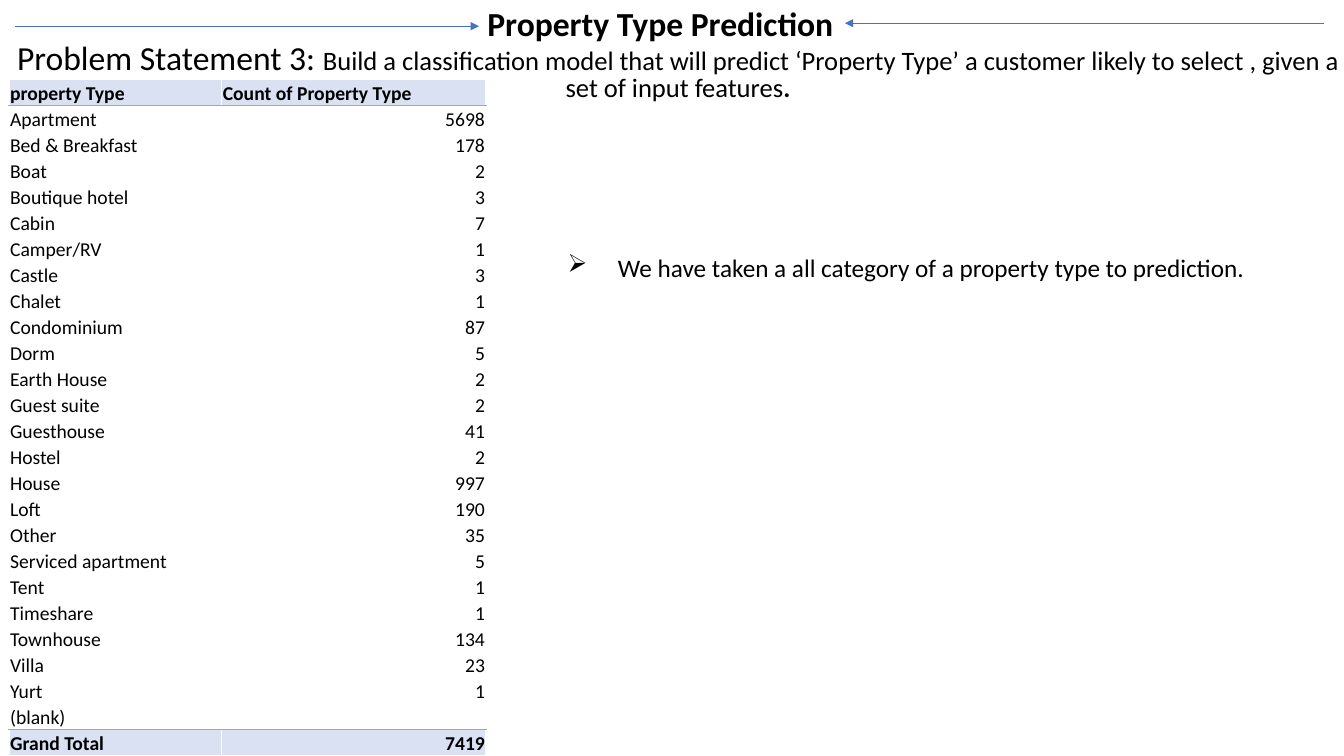
"""Build the property type prediction slide with its count table."""
from lxml import etree
from pptx import Presentation
from pptx.dml.color import RGBColor
from pptx.enum import shapes, text
from pptx.oxml import ns
from pptx.util import Inches, Pt

FONT, BLACK, BAND, RULE, ARROW = "Calibri", "000000", "D9E1F2", "8EA9DB", "4472C4"
TITLE = "Property Type Prediction"
STATEMENT = [
    ("Problem Statement 3: ", 24, False),
    ("Build a classification model that will predict ‘Property Type’ a customer "
     "likely to select , given a set of input features", 19, False),
    (".", 19, True),
]
NOTE = "We have taken a all category of a property type to prediction."
ARROWS = [(0.15, 4.75, 0.26), (13.13, 8.38, 0.23)]
COUNTS = [
    ("property Type", "Count of Property Type"),
    ("Apartment", "5698"), ("Bed & Breakfast", "178"), ("Boat", "2"),
    ("Boutique hotel", "3"), ("Cabin", "7"), ("Camper/RV", "1"),
    ("Castle", "3"), ("Chalet", "1"), ("Condominium", "87"), ("Dorm", "5"),
    ("Earth House", "2"), ("Guest suite", "2"), ("Guesthouse", "41"),
    ("Hostel", "2"), ("House", "997"), ("Loft", "190"), ("Other", "35"),
    ("Serviced apartment", "5"), ("Tent", "1"), ("Timeshare", "1"),
    ("Townhouse", "134"), ("Villa", "23"), ("Yurt", "1"), ("(blank)", ""),
    ("Grand Total", "7419"),
]
COLUMN_WIDTHS = (2.11, 2.62)
TABLE_HEIGHT = 6.71


def color(value):
    return RGBColor.from_string(value)


def add_element(parent, tag, **attributes):
    return etree.SubElement(parent, ns.qn(tag), attributes)


def add_run(paragraph, words, size, bold=False):
    run = paragraph.add_run()
    run.text = words
    run.font.name, run.font.size, run.font.bold = FONT, Pt(size), bold
    run.font.color.rgb = color(BLACK)


def place(shape, left, top, width, height):
    shape.left, shape.top = Inches(left), Inches(top)
    shape.width, shape.height = Inches(width), Inches(height)


def fill_placeholder(shape, box, anchor, spacing, runs):
    place(shape, *box)
    frame = shape.text_frame
    frame.auto_size, frame.word_wrap = text.MSO_AUTO_SIZE.NONE, True
    frame.vertical_anchor = anchor
    paragraph = frame.paragraphs[0]
    paragraph.alignment = text.PP_ALIGN.CENTER
    paragraph.line_spacing = spacing
    for run in runs:
        add_run(paragraph, *run)
    return paragraph


def add_arrow(slide, start, end, height):
    arrow = slide.shapes.add_connector(
        shapes.MSO_CONNECTOR.STRAIGHT,
        Inches(start), Inches(height), Inches(end), Inches(height))
    arrow.line.color.rgb, arrow.line.width = color(ARROW), Pt(0.5)
    add_element(arrow.line._get_or_add_ln(), "a:tailEnd", type="triangle")
    add_element(arrow._element.spPr, "a:effectLst")


def add_border(cell, tag):
    properties = cell._tc.get_or_add_tcPr()
    border = add_element(properties, tag, w=str(Pt(0.5)))
    add_element(add_element(border, "a:solidFill"), "a:srgbClr", val=RULE)
    properties.insert(0, border)


def fill_cell(cell, words, row, column):
    last = len(COUNTS) - 1
    banded = row in (0, last)
    cell.margin_left = cell.margin_right = cell.margin_top = Inches(0.01)
    cell.margin_bottom = 0
    cell.vertical_anchor = text.MSO_ANCHOR.BOTTOM
    if banded:
        cell.fill.solid()
        cell.fill.fore_color.rgb = color(BAND)
    else:
        cell.fill.background()
    if row in (0, last - 1):
        add_border(cell, "a:lnB")
    if row in (1, last):
        add_border(cell, "a:lnT")
    paragraph = cell.text_frame.paragraphs[0]
    if column and row:
        paragraph.alignment = text.PP_ALIGN.RIGHT
    if words:
        add_run(paragraph, words, 14, banded)
    else:
        add_element(paragraph._p, "a:endParaRPr", sz="1400")


def add_count_table(slide):
    table = slide.shapes.add_table(
        len(COUNTS), len(COLUMN_WIDTHS), Inches(0.09), Inches(0.79),
        Inches(sum(COLUMN_WIDTHS)), Inches(TABLE_HEIGHT)).table
    table.first_row = table.horz_banding = False
    for column, width in zip(table.columns, COLUMN_WIDTHS):
        column.width = Inches(width)
    for row, entry in enumerate(COUNTS):
        for column, words in enumerate(entry):
            fill_cell(table.cell(row, column), words, row, column)


def add_note(slide):
    box = slide.shapes.add_textbox(Inches(5.49), Inches(2.45), Inches(6.99), Inches(0.4))
    box.text_frame.word_wrap = False
    box.text_frame.auto_size = text.MSO_AUTO_SIZE.SHAPE_TO_FIT_TEXT
    paragraph = box.text_frame.paragraphs[0]
    paragraph.alignment = text.PP_ALIGN.CENTER
    properties = paragraph._p.get_or_add_pPr()
    properties.set("marL", str(Inches(0.5)))
    properties.set("indent", str(-Inches(0.5)))
    add_element(properties, "a:buChar", char="➢")
    add_run(paragraph, NOTE, 18)


def main():
    presentation = Presentation()
    presentation.slide_width, presentation.slide_height = Inches(13.33), Inches(7.5)
    slide = presentation.slides.add_slide(presentation.slide_layouts[0])
    fill_placeholder(slide.shapes.title, (1.55, 0, 10, 0.48),
                     text.MSO_ANCHOR.BOTTOM, 0.9, [(TITLE, 24, True)])
    statement = fill_placeholder(slide.placeholders[1], (0, 0.39, 13.45, 0.73),
                                 text.MSO_ANCHOR.TOP, 0.8, STATEMENT)
    statement.space_before = Pt(10)
    for arrow in ARROWS:
        add_arrow(slide, *arrow)
    add_count_table(slide)
    add_note(slide)
    presentation.save("out.pptx")


if __name__ == "__main__":
    main()
